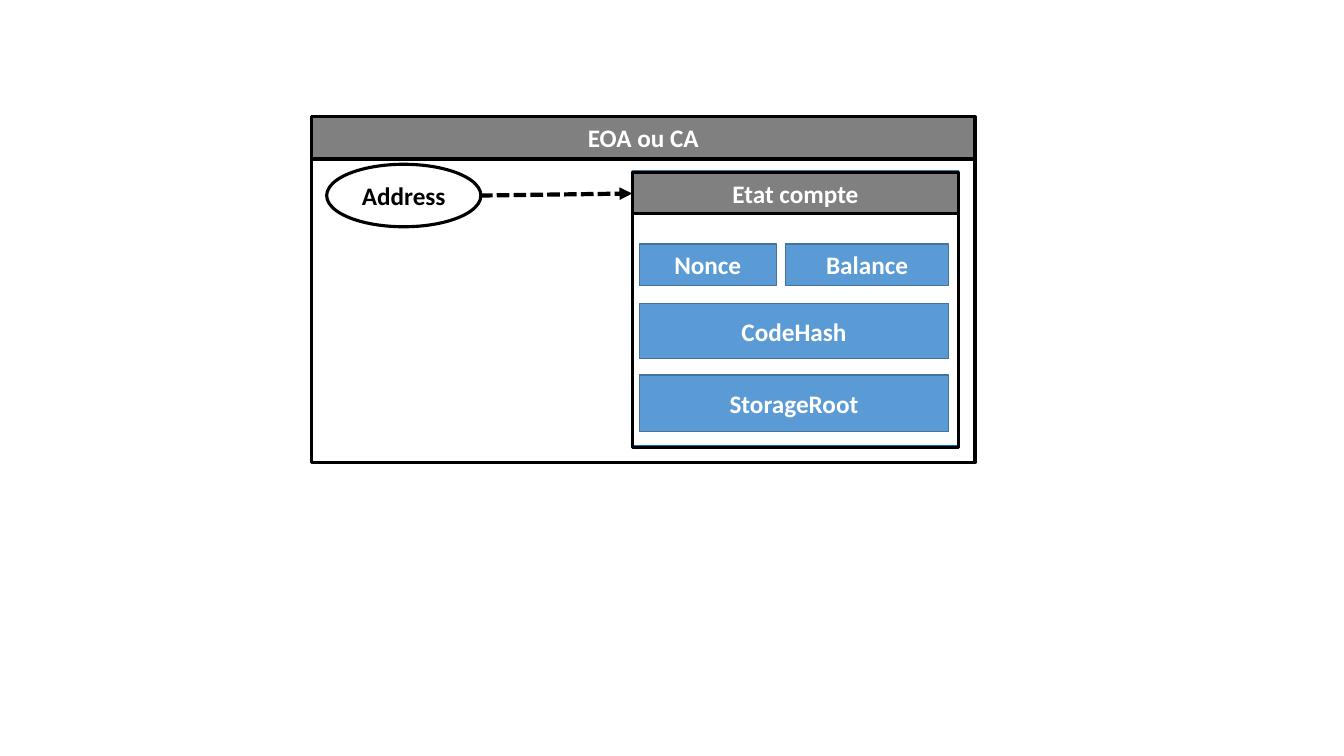
from lxml import etree
from pptx import Presentation
from pptx.dml.color import RGBColor
from pptx.enum import dml, shapes, text
from pptx.oxml import ns
from pptx.util import Inches, Pt

BLACK = RGBColor(0x00, 0x00, 0x00)
WHITE = RGBColor(0xFF, 0xFF, 0xFF)
GREY = RGBColor(0x80, 0x80, 0x80)
BLUE = RGBColor(0x5B, 0x9B, 0xD5)
BLUE_EDGE = RGBColor(0x43, 0x73, 0x9E)
FRAME_BLUE = RGBColor(0x00, 0x70, 0xC0)

RECT = shapes.MSO_SHAPE.RECTANGLE
OVAL = shapes.MSO_SHAPE.OVAL

HEADER_H = 0.41
ACCOUNT_X, ACCOUNT_Y, ACCOUNT_W = 6.27, 1.71, 3.24
STATE_H = 2.32


def add_box(s, box, label="", fill=None, line=BLACK, width=2.25,
            color=WHITE, kind=RECT):
    """Add an outlined shape with an optional bold, centred label."""
    sp = s.shapes.add_shape(kind, *map(Inches, box))
    sp.shadow.inherit = False
    if fill is None:
        sp.fill.background()
    else:
        sp.fill.solid()
        sp.fill.fore_color.rgb = fill
    sp.line.color.rgb = line
    sp.line.width = Pt(width)
    if label:
        tf = sp.text_frame
        tf.word_wrap = True
        tf.vertical_anchor = text.MSO_ANCHOR.MIDDLE
        p = tf.paragraphs[0]
        p.text = label
        p.alignment = text.PP_ALIGN.CENTER
        p.font.name = "Calibri"
        p.font.size = Pt(18)
        p.font.bold = True
        p.font.color.rgb = color
    return sp


def add_dashed_arrow(s, start, end):
    """Add a dashed connector with a triangular head at its end."""
    cx = s.shapes.add_connector(shapes.MSO_CONNECTOR.STRAIGHT,
                                *map(Inches, start + end))
    cx.line.color.rgb = BLACK
    cx.line.width = Pt(3)
    cx.line.dash_style = dml.MSO_LINE.SQUARE_DOT
    etree.SubElement(cx.line._get_or_add_ln(), ns.qn("a:tailEnd"), type="triangle")
    etree.SubElement(cx._element.spPr, ns.qn("a:effectLst"))


def add_field(s, x, y, w, h, label):
    """Add one blue field of the account state."""
    add_box(s, (x, y, w, h), label, BLUE, BLUE_EDGE, 1)


def main():
    prs = Presentation()
    prs.slide_width, prs.slide_height = Inches(13.33), Inches(7.5)
    s = prs.slides.add_slide(prs.slide_layouts[6])

    # Outer frame and address
    add_box(s, (3.09, 1.58, 6.58, 3.01))
    add_box(s, (3.24, 1.63, 1.53, 0.62), "Address", color=BLACK, kind=OVAL)

    # Blue backing of the account state, its edge shows above the header
    add_box(s, (ACCOUNT_X, 2.11, ACCOUNT_W, STATE_H), line=FRAME_BLUE)
    add_box(s, (ACCOUNT_X, 1.7, ACCOUNT_W, HEADER_H), fill=BLUE, line=BLUE_EDGE)

    # Account fields
    for field in ((6.34, 2.42, 1.36, 0.41, "Nonce"),
                  (7.79, 2.42, 1.62, 0.41, "Balance"),
                  (6.34, 3.01, 3.07, 0.55, "CodeHash"),
                  (6.34, 3.72, 3.07, 0.56, "StorageRoot")):
        add_field(s, *field)

    # Outer header and link from the address to the state
    add_box(s, (3.09, 1.16, 6.58, HEADER_H), "EOA ou CA", GREY)
    add_dashed_arrow(s, (4.76, 1.94), (ACCOUNT_X, 1.92))

    # Account state frame and header
    add_box(s, (ACCOUNT_X, ACCOUNT_Y + HEADER_H, ACCOUNT_W, STATE_H))
    add_box(s, (ACCOUNT_X, ACCOUNT_Y, ACCOUNT_W, HEADER_H), "Etat compte", GREY)

    prs.save("out.pptx")


if __name__ == "__main__":
    main()
